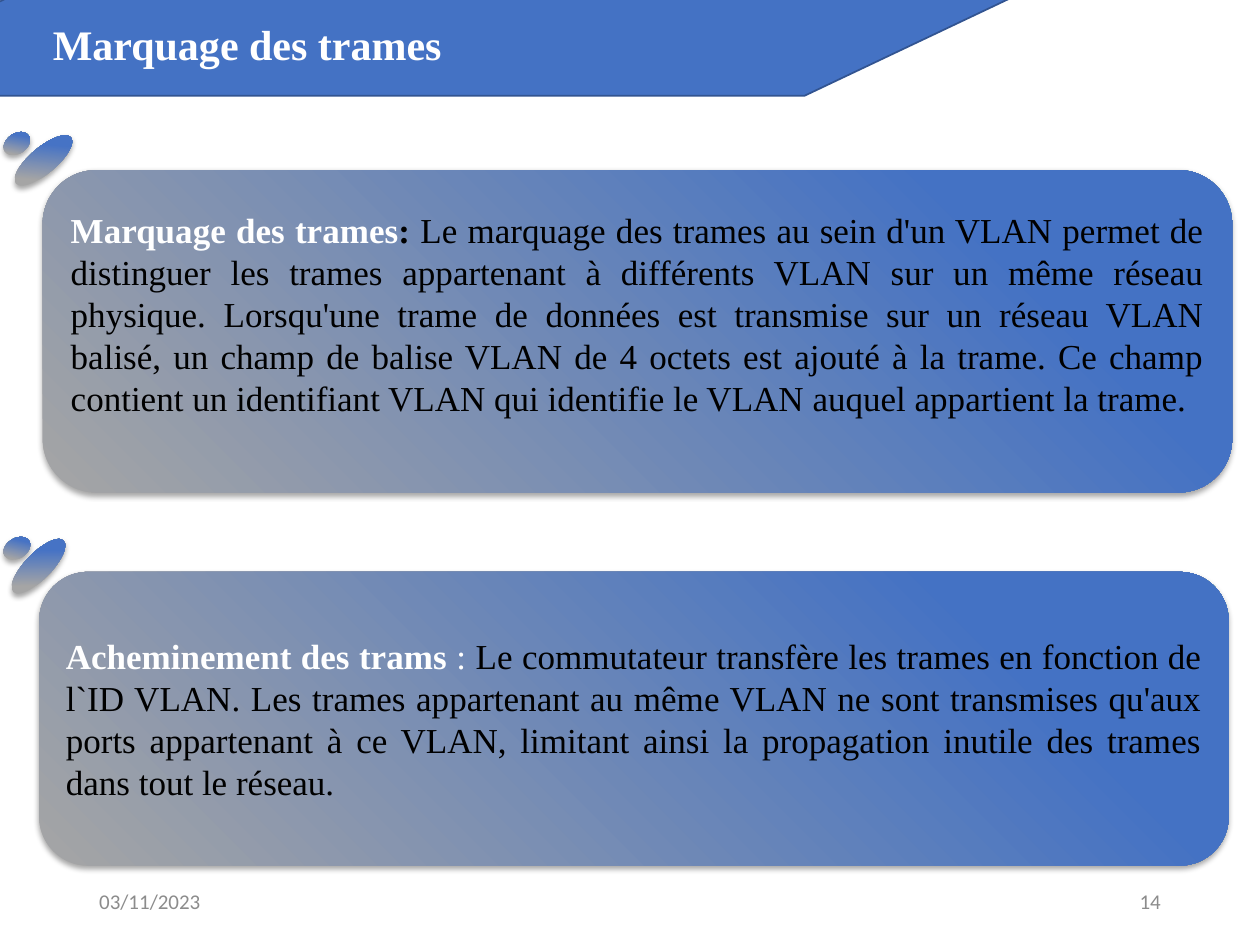
from lxml import etree
from pptx import Presentation
from pptx import util as u
from pptx.dml.color import RGBColor
from pptx.enum import shapes, text
from pptx.oxml import parse_xml
from pptx.oxml.ns import nsdecls

BLUE = RGBColor(0x44, 0x72, 0xC4)
DARK_BLUE = RGBColor(0x32, 0x54, 0x91)
WHITE = RGBColor(0xFF, 0xFF, 0xFF)
BLACK = RGBColor(0, 0, 0)
GREY = RGBColor(0x8C, 0x8C, 0x8C)
SILVER = RGBColor(0xA5, 0xA5, 0xA5)
MID_BLUE = RGBColor(0x46, 0x73, 0xC5)

PANEL_STOPS = [(0, SILVER), (80, BLUE), (100, BLUE)]
PETAL_STOPS = [(22, SILVER), (73, MID_BLUE), (80, BLUE)]
SERIF = "Times New Roman"

deck = Presentation()
deck.slide_width, deck.slide_height = u.Cm(25.4), u.Cm(19.05)
page = deck.slides.add_slide(deck.slide_layouts[5])


def add_gradient_shape(preset, place, stops):
    """Add a borderless shape with a diagonal gradient and a soft shadow below."""
    shape = page.shapes.add_shape(preset, *[u.Cm(length) for length in place])
    shape.line.fill.background()
    shape.fill.gradient()
    shape.fill.gradient_angle = 45
    stop_list = shape.fill.gradient_stops._gsLst
    for stop in list(stop_list):
        stop_list.remove(stop)
    for position, color in stops:
        stop_list.append(parse_xml(
            f'<a:gs {nsdecls("a")} pos="{position * 1000}"><a:srgbClr val="{color}"/></a:gs>'))
    shape._element.spPr.append(parse_xml(
        f'<a:effectLst {nsdecls("a")}><a:outerShdw blurRad="{u.Pt(3.1)}" dist="{u.Pt(1.8)}" '
        'dir="5400000" algn="ctr" rotWithShape="0"><a:srgbClr val="000000">'
        '<a:alpha val="35000"/></a:srgbClr></a:outerShdw></a:effectLst>'))
    return shape


# Banner and title
banner = page.shapes.add_shape(shapes.MSO_SHAPE.PARALLELOGRAM,
                               u.Cm(-4.01), u.Cm(-0.05), u.Cm(24.41), u.Cm(1.98))
banner.adjustments[0] = 2.11
banner.shadow.inherit = False
banner.fill.solid()
banner.fill.fore_color.rgb = BLUE
banner.line.color.rgb = DARK_BLUE
banner.line.width = u.Pt(1)

title = page.shapes.title
page.shapes._spTree.append(title._element)  # bring in front of the banner
title.left, title.top, title.width, title.height = u.Cm(0.81), u.Cm(0.25), u.Cm(12.7), u.Cm(1.27)
title.text_frame.text = "Marquage des trames"
title.text_frame.auto_size = text.MSO_AUTO_SIZE.NONE
title.text_frame.vertical_anchor = text.MSO_ANCHOR.TOP
heading = title.text_frame.paragraphs[0]
heading.alignment = text.PP_ALIGN.LEFT
heading.font.name, heading.font.size, heading.font.bold = SERIF, u.Pt(24), True
heading.font.color.rgb = WHITE

# Date and page number
for left, words, alignment in [(1.75, "03/11/2023", text.PP_ALIGN.LEFT),
                               (17.93, "14", text.PP_ALIGN.RIGHT)]:
    box = page.shapes.add_textbox(u.Cm(left), u.Cm(17.65), u.Cm(5.72), u.Cm(1.02))
    box.text_frame.word_wrap = True
    box.text_frame.vertical_anchor = text.MSO_ANCHOR.MIDDLE
    para = box.text_frame.paragraphs[0]
    para.text = words
    para.alignment = alignment
    para.font.name, para.font.size = "Calibri", u.Pt(12)
    para.font.color.rgb = GREY

# Panels: place, bottom margin, spans (words, bold, colour), petals (place, rotation)
panels = [
    ((0.86, 3.43, 23.98, 6.5), 0.86,
     [("Marquage des trames", True, WHITE), (":", True, BLACK),
      (" Le marquage des trames au sein d'un VLAN permet de distinguer les trames "
       "appartenant à différents VLAN sur un même réseau physique. Lorsqu'une trame de "
       "données est transmise sur un réseau VLAN balisé, un champ de balise VLAN de "
       "4 octets est ajouté à la trame. Ce champ contient un identifiant VLAN qui "
       "identifie le VLAN auquel appartient la trame.", False, BLACK)],
     [((0.15, 2.97, 1.45, 0.53), 320), ((0.05, 2.69, 0.58, 0.41), 325.9)]),
    ((0.79, 11.53, 23.98, 5.92), 0.13,
     [("Acheminement des trams", True, WHITE), (" : ", False, WHITE),
      ("Le commutateur transfère les trames en fonction de l`ID VLAN. Les trames "
       "appartenant au même VLAN ne sont transmises qu'aux ports appartenant à ce VLAN, "
       "limitant ainsi la propagation inutile des trames dans tout le réseau.",
       False, BLACK)],
     [((0.05, 10.85, 0.58, 0.41), 328.1), ((0.05, 11.15, 1.45, 0.53), 314.3)]),
]
for place, bottom_margin, spans, petals in panels:
    panel = add_gradient_shape(shapes.MSO_SHAPE.ROUNDED_RECTANGLE, place, PANEL_STOPS)
    panel.text_frame.word_wrap = True
    panel.text_frame.vertical_anchor = text.MSO_ANCHOR.MIDDLE
    panel.text_frame.margin_bottom = u.Cm(bottom_margin)
    para = panel.text_frame.paragraphs[0]
    para.alignment = text.PP_ALIGN.JUSTIFY
    para.font.name, para.font.size = SERIF, u.Pt(20)
    for words, bold, color in spans:
        span = para.add_run()
        span.text = words
        span.font.bold = bold
        span.font.color.rgb = color
    for petal_place, rotation in petals:
        petal = add_gradient_shape(shapes.MSO_SHAPE.FLOWCHART_CONNECTOR, petal_place, PETAL_STOPS)
        petal.rotation = rotation

deck.save("out.pptx")
